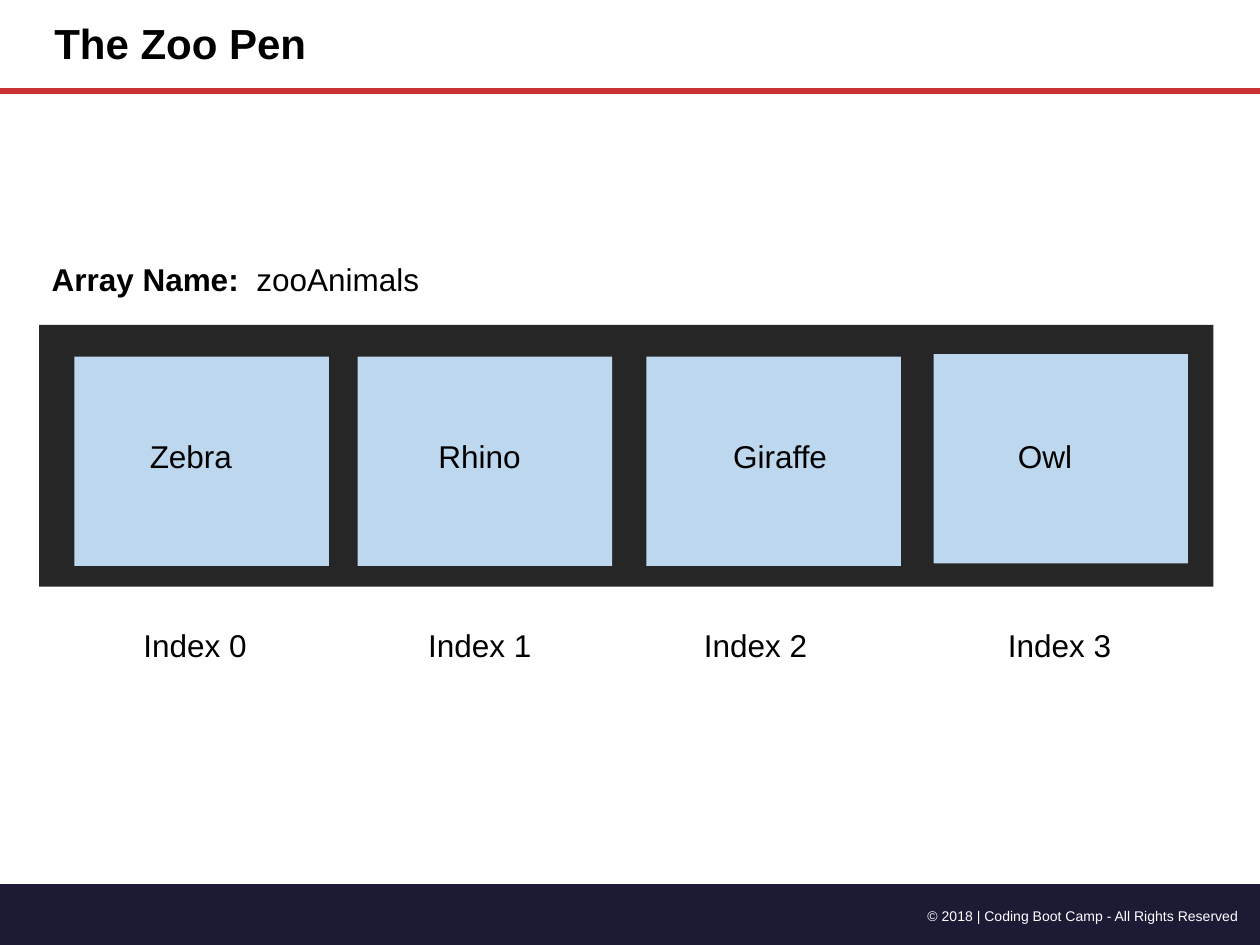
from lxml import etree
from pptx import Presentation
from pptx import util as u
from pptx.dml.color import RGBColor
from pptx.enum import shapes, text
from pptx.oxml.ns import qn

BLACK = RGBColor(0x00, 0x00, 0x00)
WHITE = RGBColor(0xFF, 0xFF, 0xFF)
NAVY = RGBColor(0x1D, 0x1A, 0x36)
RED = RGBColor(0xC8, 0x32, 0x32)
CHARCOAL = RGBColor(0x26, 0x26, 0x26)
SKY = RGBColor(0xBD, 0xD7, 0xEE)


def write(sp, words, size=18, color=BLACK, bold=False, align=text.PP_ALIGN.LEFT):
    p = sp.text_frame.paragraphs[0]
    p.alignment = align
    r = p.add_run()
    r.text = words
    r.font.name = "Arial"
    r.font.size = u.Pt(size)
    r.font.bold = bold
    r.font.color.rgb = color
    return p


def box(kind, left, top, width, height, color):
    sp = s.shapes.add_shape(kind, u.Cm(left), u.Cm(top), u.Cm(width), u.Cm(height))
    sp.shadow.inherit = False
    sp.fill.solid()
    sp.fill.fore_color.rgb = color
    sp.line.fill.background()


prs = Presentation()
prs.slide_width, prs.slide_height = u.Cm(25.4), u.Cm(19.05)
s = prs.slides.add_slide(prs.slide_layouts[5])

title = s.shapes.title
title.left, title.top, title.width, title.height = u.Cm(0.84), u.Cm(0), u.Cm(15.19), u.Cm(1.83)
title.text_frame.auto_size = text.MSO_AUTO_SIZE.NONE
title.text_frame.vertical_anchor = text.MSO_ANCHOR.MIDDLE
p = write(title, "The Zoo Pen", size=24, bold=True)
p.line_spacing = 0.9

box(shapes.MSO_SHAPE.FLOWCHART_PROCESS, 0, 17.83, 25.43, 1.27, NAVY)

rule = s.shapes.add_connector(shapes.MSO_CONNECTOR.STRAIGHT, u.Cm(0), u.Cm(1.83), u.Cm(25.4), u.Cm(1.83))
rule.line.color.rgb = RED
rule.line.width = u.Pt(3.25)
etree.SubElement(rule.element.spPr, qn("a:effectLst"))

footer = s.shapes.add_textbox(u.Cm(17.35), u.Cm(18.16), u.Cm(7.75), u.Cm(0.61))
tf = footer.text_frame
tf.word_wrap = True
tf.margin_left = tf.margin_right = tf.margin_top = tf.margin_bottom = u.Cm(0.13)
write(footer, "© 2018 | Coding Boot Camp - All Rights Reserved", size=8, color=WHITE,
      align=text.PP_ALIGN.RIGHT)

heading = s.shapes.add_textbox(u.Cm(0.79), u.Cm(5.11), u.Cm(8), u.Cm(1.02))
heading.text_frame.word_wrap = False
p = heading.text_frame.paragraphs[0]
tabs = etree.SubElement(p._p.get_or_add_pPr(), qn("a:tabLst"))
etree.SubElement(tabs, qn("a:tab"), pos=str(u.Cm(4.13)), algn="l")
write(heading, "Array Name:", bold=True)
write(heading, "\tzooAnimals")

box(shapes.MSO_SHAPE.RECTANGLE, 0.79, 6.55, 23.67, 5.28, CHARCOAL)

pens = [
    ("Zebra", 1.5, 7.19, 2.77, 2.18, 2.64),
    ("Rhino", 7.21, 7.19, 8.59, 2.18, 8.38),
    ("Giraffe", 13.03, 7.19, 14.53, 2.41, 13.94),
    ("Owl", 18.82, 7.14, 20.27, 1.63, 20.07),
]
for i, (animal, left, top, name_left, name_width, index_left) in enumerate(pens):
    box(shapes.MSO_SHAPE.RECTANGLE, left, top, 5.13, 4.22, SKY)
    for words, x, y, width in [(animal, name_left, 8.69, name_width),
                               (f"Index {i}", index_left, 12.5, 2.62)]:
        label = s.shapes.add_textbox(u.Cm(x), u.Cm(y), u.Cm(width), u.Cm(1.02))
        label.text_frame.word_wrap = False
        write(label, words)

prs.save("out.pptx")
